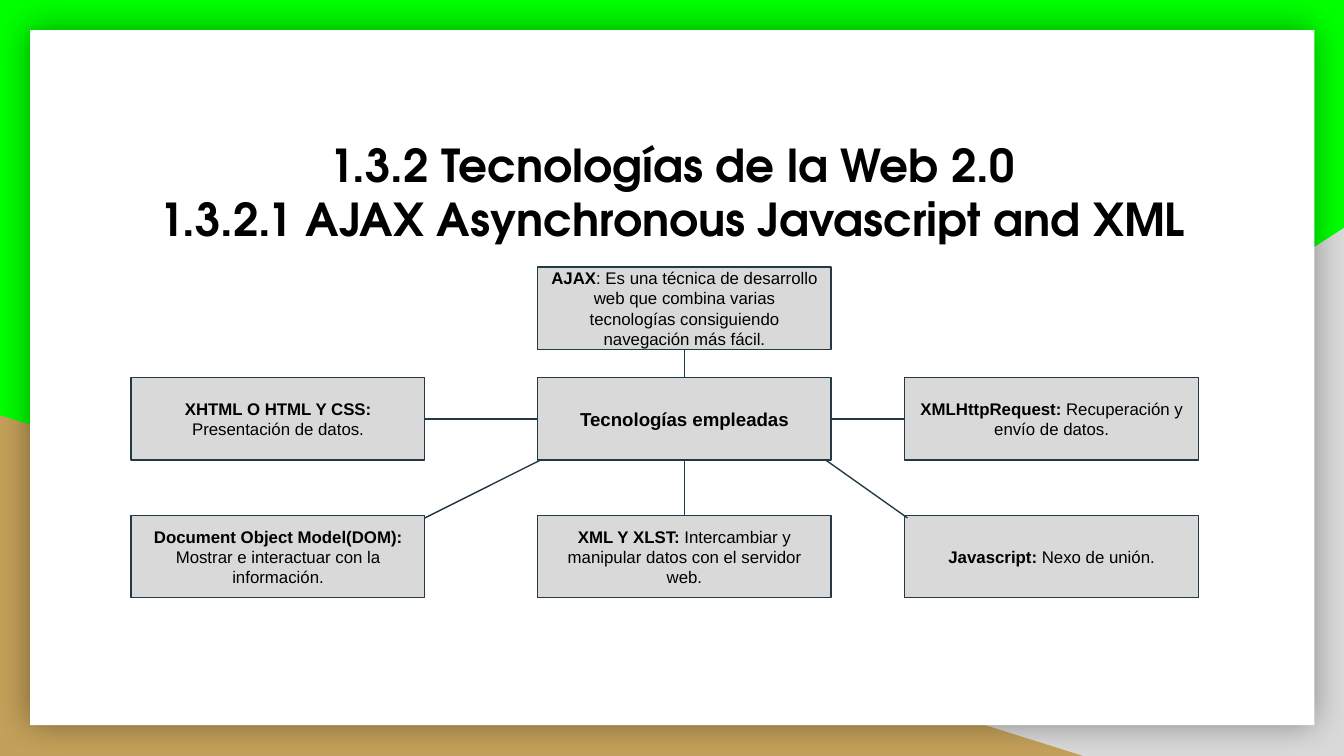
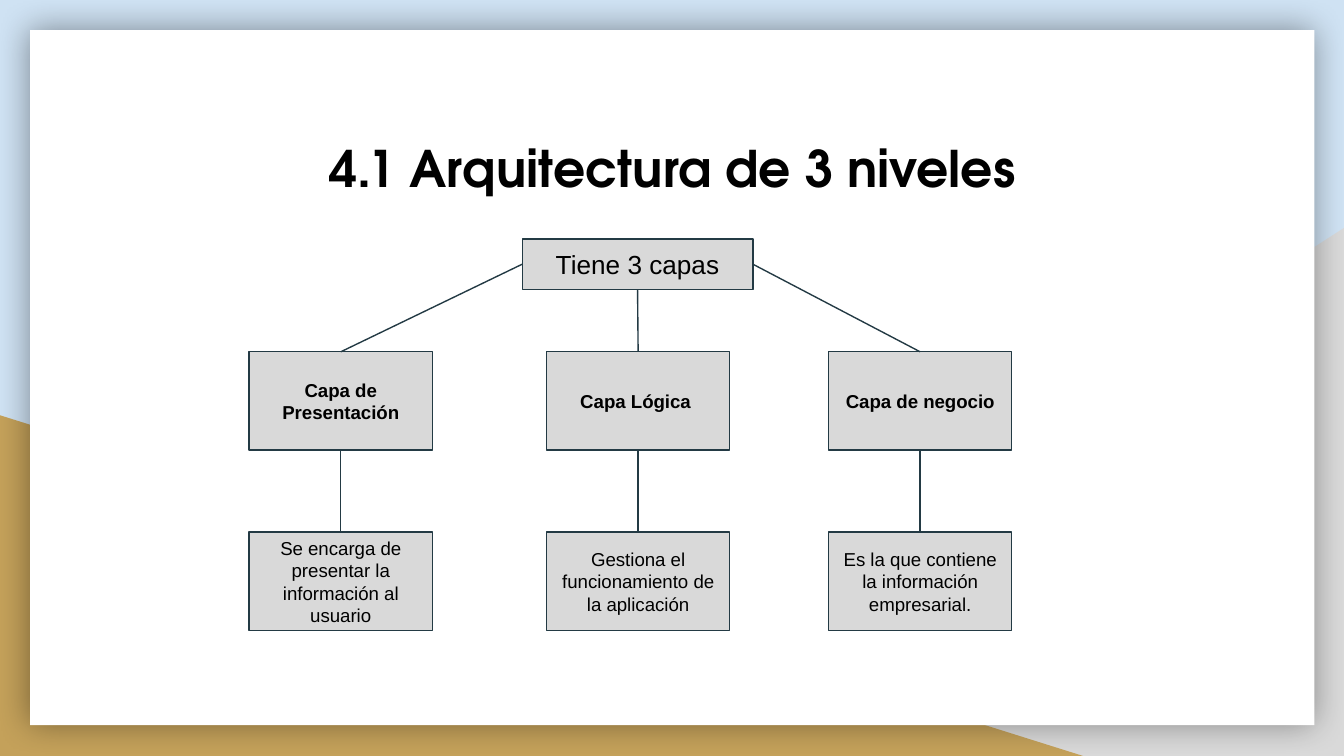
from pptx import Presentation
from pptx.dml.color import RGBColor
from pptx.enum.shapes import MSO_CONNECTOR, MSO_SHAPE
from pptx.enum.text import MSO_ANCHOR, PP_ALIGN
from pptx.oxml.ns import qn
from pptx.util import Cm, Pt
from lxml import etree

RECT = MSO_SHAPE.RECTANGLE
TRIANGLE = MSO_SHAPE.RIGHT_TRIANGLE
STRAIGHT = MSO_CONNECTOR.STRAIGHT
CENTER = PP_ALIGN.CENTER
MIDDLE = MSO_ANCHOR.MIDDLE
TOP, LEFT, BOTTOM, RIGHT = range(4)  # connection sites of a rectangle

GREEN, SKY, GRAY, OCHRE = "00FF00", "CFE2F3", "D9D9D9", "C4A15A"
WHITE, BLACK, SLATE = "FFFFFF", "000000", "233A44"
TITLE_FONT, BODY_FONT = "TeX Gyre Adventor", "Arial"
MARGIN = Cm(0.25)


def paint(color_holder, color):
    """Make a fill solid in a hex colour."""
    color_holder.solid()
    color_holder.fore_color.rgb = RGBColor.from_string(color)


def add_plain_shape(slide, kind, box, color):
    shape = slide.shapes.add_shape(kind, *map(Cm, box))
    shape.shadow.inherit = False
    paint(shape.fill, color)
    shape.line.fill.background()
    return shape


def add_glow_shadow(shape):
    """Put a soft dark shadow evenly around the shape."""
    effects = shape._element.spPr.find(qn("a:effectLst"))
    shadow = etree.SubElement(effects, qn("a:outerShdw"), blurRad=str(Pt(18)),
                              dist="0", dir="0", algn="ctr", rotWithShape="0")
    color = etree.SubElement(shadow, qn("a:srgbClr"), val=BLACK)
    etree.SubElement(color, qn("a:alpha"), val="40000")


def set_margins(frame):
    frame.word_wrap = True
    frame.margin_left = frame.margin_right = MARGIN
    frame.margin_top = frame.margin_bottom = MARGIN


def style_paragraph(paragraph, font, size):
    paragraph.alignment = CENTER
    paragraph.font.name = font
    paragraph.font.size = Pt(size)
    paint(paragraph.font.fill, BLACK)


def add_themed_slide(prs, background, title_lines, title_size, title_height):
    slide = prs.slides.add_slide(prs.slide_layouts[6])
    paint(slide.background.fill, background)
    gray_corner = add_plain_shape(slide, TRIANGLE, (9.96, 4.31, 15.44, 9.98), GRAY)
    gray_corner._element.spPr.find(qn("a:xfrm")).set("flipH", "1")
    add_plain_shape(slide, TRIANGLE, (0, 7.85, 20.47, 6.44), OCHRE)
    add_glow_shadow(add_plain_shape(slide, RECT, (0.57, 0.57, 24.27, 13.14), WHITE))

    title = slide.shapes.add_textbox(Cm(2.28), Cm(2.34), Cm(20.85), Cm(title_height))
    frame = title.text_frame
    set_margins(frame)
    frame.text = "\n".join(title_lines)
    for paragraph in frame.paragraphs:
        style_paragraph(paragraph, TITLE_FONT, title_size)
        paragraph.font.bold = True
    return slide


def add_box(slide, box, size, term="", detail=""):
    """Add a bordered box with a bold term followed by a plain detail."""
    shape = add_plain_shape(slide, RECT, box, GRAY)
    paint(shape.line.fill, SLATE)
    shape.line.width = Pt(0.75)
    frame = shape.text_frame
    set_margins(frame)
    frame.vertical_anchor = MIDDLE
    paragraph = frame.paragraphs[0]
    style_paragraph(paragraph, BODY_FONT, size)
    for text, bold in ((term, True), (detail, False)):
        if text:
            run = paragraph.add_run()
            run.text = text
            run.font.bold = bold
    return shape


def add_line(slide, start=(0, 0), end=(0, 0)):
    line = slide.shapes.add_connector(STRAIGHT, *map(Cm, (*start, *end)))
    paint(line.line.fill, SLATE)
    line.line.width = Pt(0.75)
    etree.SubElement(line._element.spPr, qn("a:effectLst"))
    return line


def join(slide, first, first_site, second, second_site):
    line = add_line(slide)
    line.begin_connect(first, first_site)
    line.end_connect(second, second_site)


def build_ajax(prs):
    slide = add_themed_slide(
        prs, GREEN,
        ["1.3.2 Tecnologías de la Web 2.0",
         "1.3.2.1 AJAX Asynchronous Javascript and XML"], 24.3, 2.39)
    left, center, right = 2.48, 10.16, 17.1
    upper, middle, lower = 5.05, 7.14, 9.74
    width, height = 5.55, 1.56

    def technology(x, y, term, detail="", size=9):
        return add_box(slide, (x, y, width, height), size, term, detail)

    ajax = technology(center, upper, "AJAX",
                      ": Es una técnica de desarrollo web que combina varias "
                      "tecnologías consiguiendo navegación más fácil.")
    technology(left, lower, "Document Object Model(DOM): ",
               "Mostrar e interactuar con la información.")
    hub = technology(center, middle, "Tecnologías empleadas", size=10)
    xml = technology(center, lower, "XML Y XLST:",
                     " Intercambiar y manipular datos con el servidor web.")
    technology(right, lower, "Javascript:", " Nexo de unión.")
    request = technology(right, middle, "XMLHttpRequest:",
                         " Recuperación y envío de datos.")
    xhtml = technology(left, middle, "XHTML O HTML Y CSS: ", "Presentación de datos.")

    join(slide, xhtml, RIGHT, hub, LEFT)
    join(slide, hub, RIGHT, request, LEFT)
    join(slide, ajax, BOTTOM, hub, TOP)
    join(slide, hub, BOTTOM, xml, TOP)
    hub_bottom = middle + height
    add_line(slide, (left + width, lower + 0.05), (center + 0.05, hub_bottom))
    add_line(slide, (center + width - 0.1, hub_bottom), (right + 0.05, lower + 0.05))


def build_architecture(prs):
    slide = add_themed_slide(prs, SKY, ["4.1 Arquitectura de 3 niveles"], 27, 1.85)
    root = add_box(slide, (9.87, 4.52, 4.36, 0.95), 14, detail="Tiene 3 capas")
    layers = [
        (4.71, LEFT, "Capa de Presentación",
         "Se encarga de presentar la información al usuario"),
        (10.33, BOTTOM, "Capa Lógica ", "Gestiona el funcionamiento de la aplicación"),
        (15.66, RIGHT, "Capa de negocio",
         "Es la que contiene la información empresarial."),
    ]
    for x, root_site, name, role in layers:
        layer = add_box(slide, (x, 6.65, 3.46, 1.86), 10, term=name)
        duty = add_box(slide, (x, 10.06, 3.46, 1.86), 10, detail=role)
        join(slide, root, root_site, layer, TOP)
        join(slide, layer, BOTTOM, duty, TOP)


def main():
    prs = Presentation()
    prs.slide_width, prs.slide_height = Cm(25.4), Cm(14.29)
    build_ajax(prs)
    build_architecture(prs)
    prs.save("out.pptx")


if __name__ == "__main__":
    main()
